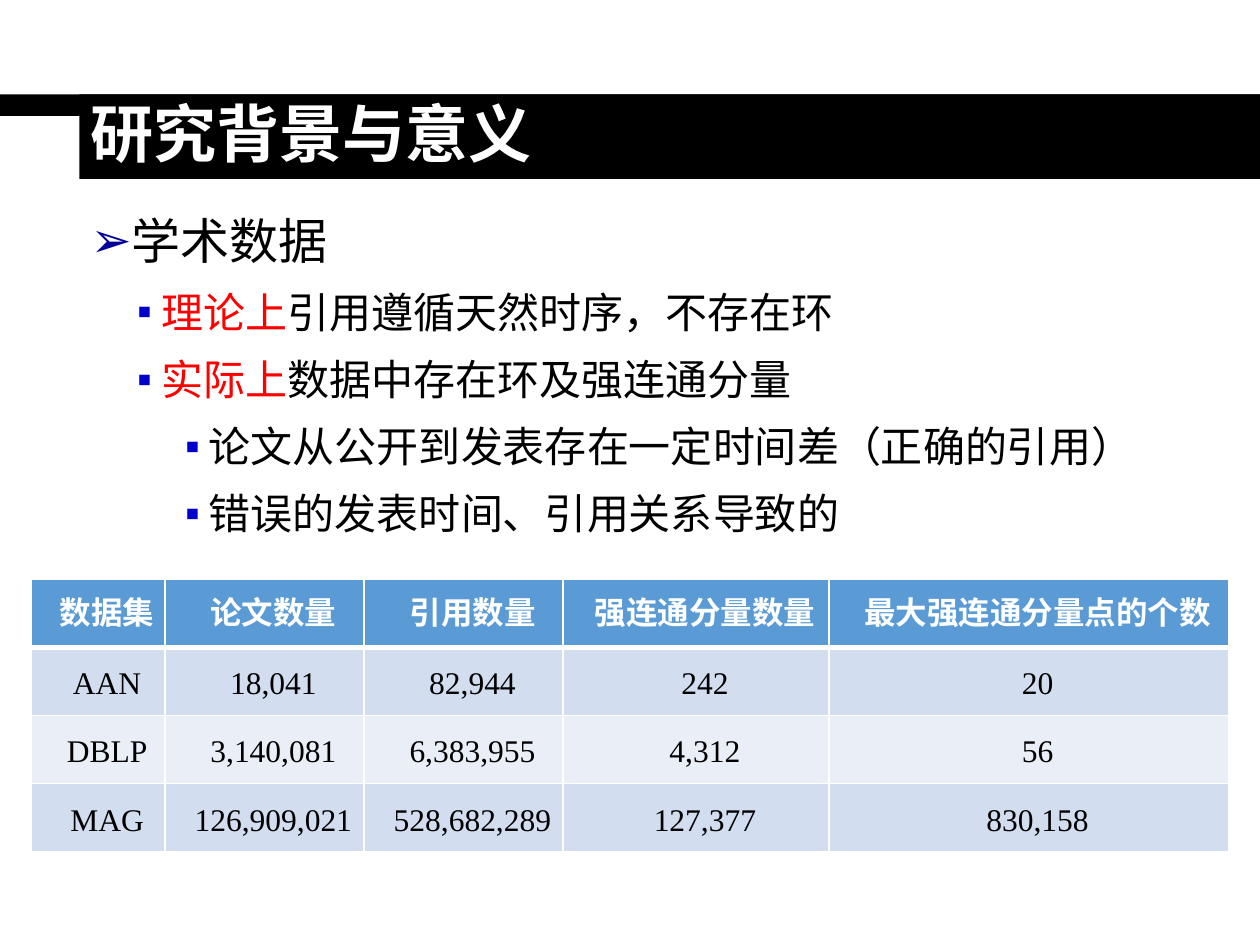
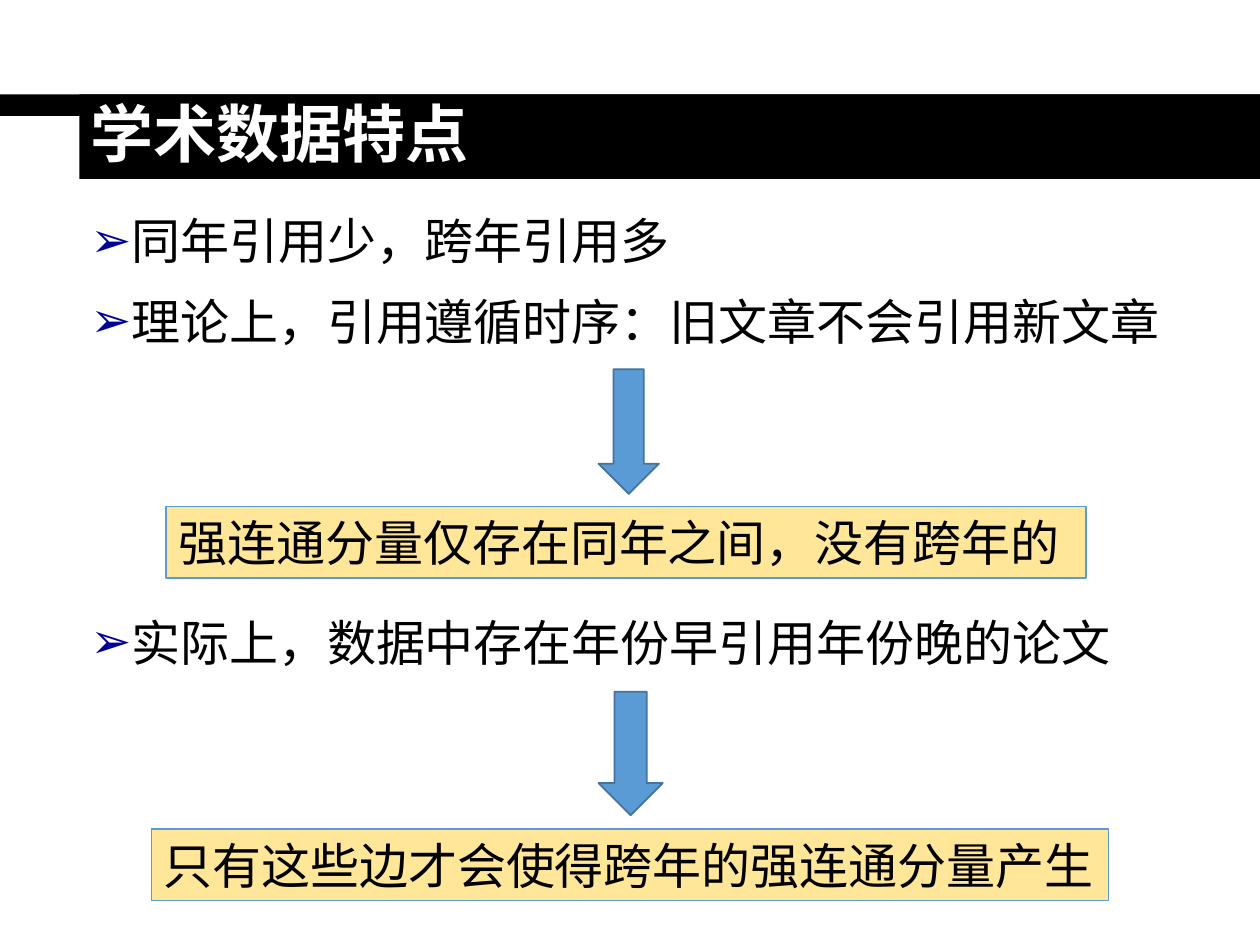
from dataclasses import dataclass

from lxml import etree
from pptx import Presentation
from pptx.dml.color import RGBColor
from pptx.enum import shapes, text
from pptx.oxml import ns
from pptx.util import Inches, Pt


@dataclass(frozen=True)
class Theme:
    black: str = "000000"
    white: str = "FFFFFF"
    red: str = "FF0000"
    blue: str = "5B9BD5"
    arrow_edge: str = "43739E"
    yellow: str = "FFE699"
    row_dark: str = "D2DEEF"
    row_light: str = "EAEFF7"
    title_size: int = 36
    body_size: int = 28
    sub_size: int = 24
    table_size: int = 18
    title_font: str = "Times New Roman"
    body_font: str = "Arial"
    callout_font: str = "Calibri"


THEME = Theme()
# Per level: bullet character, bullet colour, left indent, text size, space before
LEVELS = [
    ("➢", "000099", 0.19, THEME.body_size, 5.6),
    ("▪", "0000CC", 0.56, THEME.sub_size, 3.8),
    ("▪", "0000CC", 0.94, THEME.sub_size, 3.8),
]


def write(para, content, size=THEME.body_size, font=THEME.body_font,
          color=THEME.black, bold=False):
    span = para.add_run()
    span.text = content
    span.font.size = Pt(size)
    span.font.name = font
    span.font.bold = bold
    span.font.color.rgb = RGBColor.from_string(color)


def add_bullets(page, width, items):
    """Add the body box; an item is (level, extra space before, coloured spans)."""
    frame = page.shapes.add_textbox(
        Inches(0.62), Inches(1.53), Inches(width), Inches(5.23)).text_frame
    frame.word_wrap = True
    for index, (level, extra, spans) in enumerate(items):
        para = frame.paragraphs[0] if index == 0 else frame.add_paragraph()
        mark, mark_color, indent, size, before = LEVELS[level]
        para.level = level
        para.line_spacing = 1.2
        if index:
            para.space_before = Pt(before + extra)
        props = para._p.get_or_add_pPr()
        props.set("marL", str(Inches(indent)))
        props.set("indent", str(Inches(-0.19)))
        color = etree.SubElement(props, ns.qn("a:buClr"))
        etree.SubElement(color, ns.qn("a:srgbClr"), val=mark_color)
        etree.SubElement(props, ns.qn("a:buFont"), typeface=THEME.body_font)
        etree.SubElement(props, ns.qn("a:buChar"), char=mark)
        for content, span_color in spans:
            write(para, content, size=size, color=span_color)


deck = Presentation()
deck.slide_width, deck.slide_height = Inches(10), Inches(7.5)

# Shared frame: black bands with the title on top
pages = []
for heading in ["研究背景与意义", "学术数据特点"]:
    page = deck.slides.add_slide(deck.slide_layouts[5])
    for left, width, height in [(0, 10, 0.17), (0.63, 9.37, 0.67)]:
        band = page.shapes.add_shape(
            shapes.MSO_SHAPE.RECTANGLE,
            Inches(left), Inches(0.75), Inches(width), Inches(height))
        band.shadow.inherit = False
        band.fill.solid()
        band.fill.fore_color.rgb = RGBColor.from_string(THEME.black)
        band.line.fill.background()
    title = page.shapes.title
    page.shapes.element.append(title.element)
    title.left, title.top = Inches(0.62), Inches(0.75)
    title.width, title.height = Inches(8.69), Inches(0.67)
    title.text_frame.auto_size = text.MSO_AUTO_SIZE.NONE
    title.text_frame.vertical_anchor = text.MSO_ANCHOR.MIDDLE
    para = title.text_frame.paragraphs[0]
    para.alignment = text.PP_ALIGN.LEFT
    para.line_spacing = 0.9
    write(para, heading, size=THEME.title_size, font=THEME.title_font,
          color=THEME.white, bold=True)
    pages.append(page)
background_page, traits_page = pages

# Slide 1: research background
add_bullets(background_page, 8.69, [
    (0, 0, [("学术数据", THEME.black)]),
    (1, 0, [("理论上", THEME.red), ("引用遵循天然时序，不存在环", THEME.black)]),
    (1, 0, [("实际上", THEME.red), ("数据中存在环及强连通分量", THEME.black)]),
    (2, 0, [("论文从公开到发表存在一定时间差（正确的引用）", THEME.black)]),
    (2, 0, [("错误的发表时间、引用关系导致的", THEME.black)]),
])

datasets = [
    ["数据集", "论文数量", "引用数量", "强连通分量数量", "最大强连通分量点的个数"],
    ["AAN", "18,041", "82,944", "242", "20"],
    ["DBLP", "3,140,081", "6,383,955", "4,312", "56"],
    ["MAG", "126,909,021", "528,682,289", "127,377", "830,158"],
]
column_widths = [1.06, 1.58, 1.58, 2.11, 3.17]
table = background_page.shapes.add_table(
    len(datasets), len(column_widths),
    Inches(0.25), Inches(4.6), Inches(sum(column_widths)), Inches(2.16)).table
for column, width in zip(table.columns, column_widths):
    column.width = Inches(width)
for row_index, values in enumerate(datasets):
    table.rows[row_index].height = Inches(0.54)
    is_header = row_index == 0
    row_fill = (THEME.blue if is_header
                else THEME.row_dark if row_index % 2 else THEME.row_light)
    for column_index, value in enumerate(values):
        cell = table.cell(row_index, column_index)
        cell.vertical_anchor = text.MSO_ANCHOR.MIDDLE
        cell.margin_left = cell.margin_right = Inches(0.07)
        cell.margin_top = cell.margin_bottom = 0
        edge_widths = {"L": 1, "R": 1, "T": 3 if row_index == 1 else 1,
                       "B": 3 if is_header else 1}
        for side, points in edge_widths.items():
            edge = etree.SubElement(cell._tc.get_or_add_tcPr(),
                                    ns.qn(f"a:ln{side}"), w=str(Pt(points)))
            paint = etree.SubElement(edge, ns.qn("a:solidFill"))
            etree.SubElement(paint, ns.qn("a:srgbClr"), val=THEME.white)
        cell.fill.solid()
        cell.fill.fore_color.rgb = RGBColor.from_string(row_fill)
        para = cell.text_frame.paragraphs[0]
        para.alignment = text.PP_ALIGN.CENTER
        para.line_spacing = Pt(23)
        props = para._p.get_or_add_pPr()
        props.set("marL", "0")
        props.set("indent", str(Inches(0.14)))
        write(para, value, size=THEME.table_size, font=THEME.title_font,
              color=THEME.white if is_header else THEME.black, bold=is_header)

# Slide 2: traits of academic data
add_bullets(traits_page, 9.03, [
    (0, 0, [("同年引用少，跨年引用多", THEME.black)]),
    (0, 0, [("理论上，引用遵循时序：旧文章不会引用新文章", THEME.black)]),
    (0, 137.6, [("实际上，数据中存在年份早引用年份晚的论文", THEME.black)]),
])

down_arrow, rectangle = shapes.MSO_SHAPE.DOWN_ARROW, shapes.MSO_SHAPE.RECTANGLE
conclusions = [
    (down_arrow, (4.75, 2.93, 0.48, 0.99), THEME.blue, THEME.arrow_edge, 1, ""),
    (rectangle, (1.32, 4.02, 7.3, 0.57), THEME.yellow, THEME.blue, 1,
     "强连通分量仅存在同年之间，没有跨年的"),
    (down_arrow, (4.75, 5.49, 0.51, 0.98), THEME.blue, THEME.arrow_edge, 1, ""),
    (rectangle, (1.2, 6.58, 7.6, 0.57), THEME.yellow, THEME.blue, 0.75,
     "只有这些边才会使得跨年的强连通分量产生"),
]
for kind, place, fill, edge_color, edge_width, content in conclusions:
    box = traits_page.shapes.add_shape(kind, *map(Inches, place))
    box.shadow.inherit = False
    box.fill.solid()
    box.fill.fore_color.rgb = RGBColor.from_string(fill)
    box.line.color.rgb = RGBColor.from_string(edge_color)
    box.line.width = Pt(edge_width)
    if content:
        box.text_frame.word_wrap = True
        box.text_frame.vertical_anchor = text.MSO_ANCHOR.TOP
        para = box.text_frame.paragraphs[0]
        para.alignment = text.PP_ALIGN.LEFT
        write(para, content, font=THEME.callout_font)

deck.save("out.pptx")
